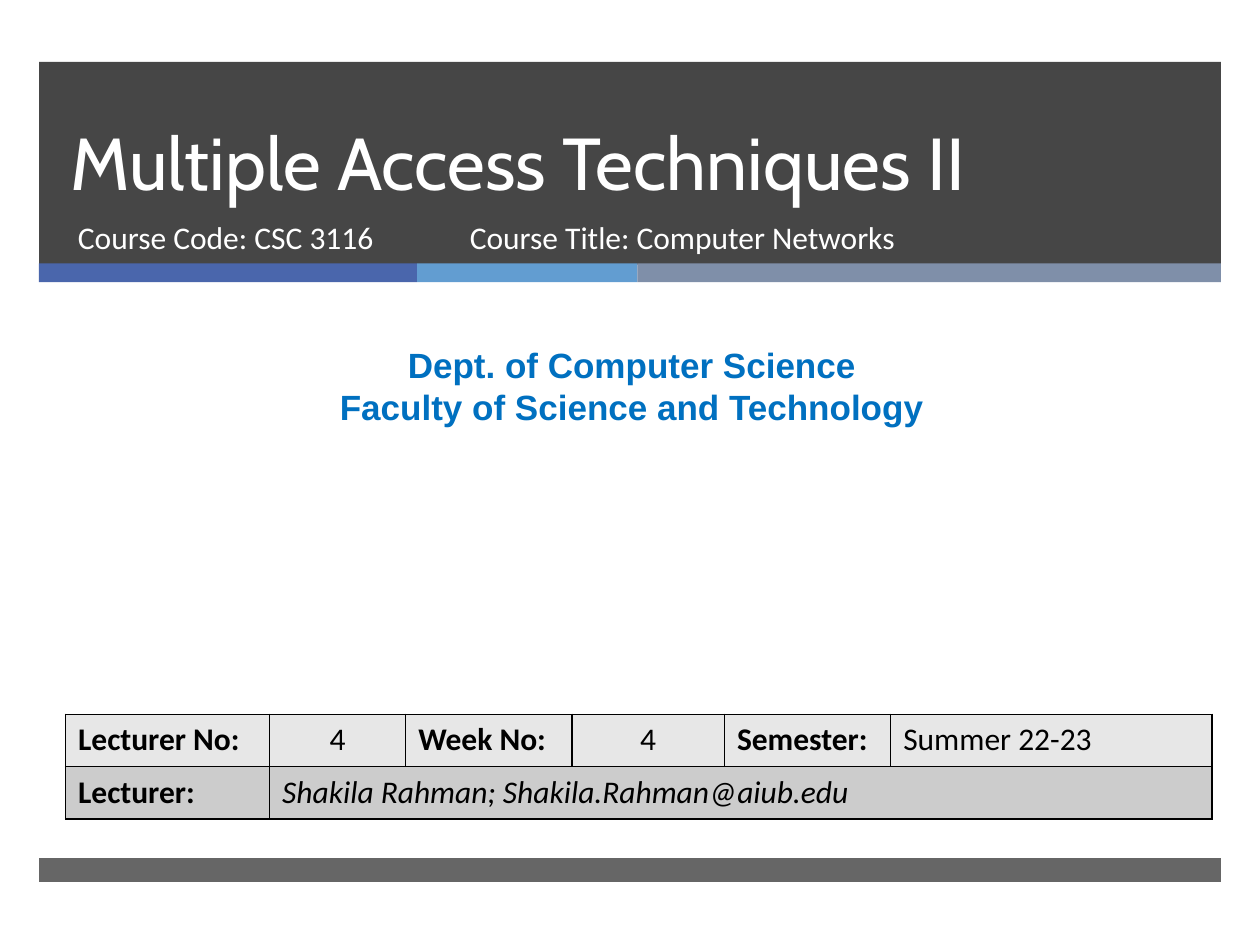
import pptx
import pptx.util
import pptx.dml.color
import pptx.enum.shapes
import pptx.enum.text
import pptx.oxml.ns
from lxml import etree

ANCHOR = pptx.enum.text.MSO_ANCHOR
CENTER = pptx.enum.text.PP_ALIGN.CENTER
LEFT = pptx.enum.text.PP_ALIGN.LEFT
TITLE_ONLY = 5


def rgb(value):
    return pptx.dml.color.RGBColor.from_string(value)


def add_xml(parent, tag, **attrs):
    return etree.SubElement(parent, pptx.oxml.ns.qn(tag), attrs)


def write(tf, text, font="Calibri", size=18, color="000000", bold=False,
          italic=False, align=LEFT, spacing=None):
    """Put each line of text into its own paragraph."""
    for i, line in enumerate(text.split("\n")):
        p = tf.add_paragraph() if i else tf.paragraphs[0]
        p.alignment = align
        p.space_before = pptx.util.Pt(0)
        if spacing:
            p.line_spacing = pptx.util.Pt(spacing)
        r = p.add_run()
        r.text = line
        r.font.name, r.font.size = font, pptx.util.Pt(size)
        r.font.bold, r.font.italic = bold, italic
        r.font.color.rgb = rgb(color)


class Deck:
    """Style and current slide; lengths are cells of a 100 by 75 grid."""
    COLUMNS, ROWS = 100, 75
    DARK, WHITE, ACCENT = "262626", "FFFFFF", "0070C0"
    STRIPES = ("4A66AC", "629DD1", "7F8FA9")
    ROW_FILLS = ("E7E7E7", "CCCCCC")

    def __init__(self):
        self.prs = pptx.Presentation()
        self.prs.slide_width = pptx.util.Inches(10)
        self.prs.slide_height = pptx.util.Inches(7.5)
        self.s = self.prs.slides.add_slide(self.prs.slide_layouts[TITLE_ONLY])

    def x(self, columns):
        return round(self.prs.slide_width * columns / self.COLUMNS)

    def y(self, rows):
        return round(self.prs.slide_height * rows / self.ROWS)

    def box(self, left, top, width, height):
        return self.x(left), self.y(top), self.x(width), self.y(height)

    def bar(self, *place, color, opacity=100):
        sp = self.s.shapes.add_shape(
            pptx.enum.shapes.MSO_SHAPE.RECTANGLE, *self.box(*place))
        sp.shadow.inherit = False
        sp.fill.solid()
        sp.fill.fore_color.rgb = rgb(color)
        sp.line.fill.background()
        if opacity < 100:
            clr = sp.element.spPr.find(".//" + pptx.oxml.ns.qn("a:srgbClr"))
            add_xml(clr, "a:alpha", val=str(opacity * 1000))

    def title(self, *place, text, **style):
        sp = self.s.shapes.title
        sp.left, sp.top, sp.width, sp.height = self.box(*place)
        sp.text_frame.vertical_anchor = ANCHOR.BOTTOM
        sp.text_frame.auto_size = pptx.enum.text.MSO_AUTO_SIZE.NONE
        write(sp.text_frame, text, **style)
        sp.element.getparent().append(sp.element)  # in front of the band

    def text(self, *place, text, **style):
        tf = self.s.shapes.add_textbox(*self.box(*place)).text_frame
        tf.word_wrap = True
        write(tf, text, **style)

    def border(self, cell):
        tcPr = cell._tc.get_or_add_tcPr()
        for i, side in enumerate(("a:lnL", "a:lnR", "a:lnT", "a:lnB")):
            ln = add_xml(tcPr, side, w=str(pptx.util.Pt(1)))
            add_xml(add_xml(ln, "a:solidFill"), "a:srgbClr", val="000000")
            tcPr.remove(ln)
            tcPr.insert(i, ln)  # borders precede the fill

    def table(self, left, top, widths, row_height, rows):
        place = self.box(left, top, sum(widths), row_height * len(rows))
        tbl = self.s.shapes.add_table(len(rows), len(widths), *place).table
        for column, width in zip(tbl.columns, widths):
            column.width = self.x(width)
        for i, row in enumerate(rows):
            tbl.rows[i].height = self.y(row_height)
            for j in range(len(widths)):
                cell = tbl.cell(i, j)
                cell.fill.solid()
                cell.fill.fore_color.rgb = rgb(self.ROW_FILLS[i])
                self.border(cell)
                if j < len(row):
                    text, style = row[j]
                    write(cell.text_frame, text, **style)
            if len(row) < len(widths):  # last entry fills the rest of the row
                tbl.cell(i, len(row) - 1).merge(tbl.cell(i, len(widths) - 1))


def main():
    d = Deck()
    left, width = 3.1, 93.8

    # Header band, coloured stripes and footer
    d.bar(left, 4.9, width, 16.1, color=d.DARK, opacity=85)
    x = left
    for color, stripe in zip(d.STRIPES, (30, 17.5, 46.3)):
        d.bar(x, 20.9, stripe, 1.5, color=color)
        x += stripe
    d.bar(left, 68.1, width, 1.9, color=d.DARK, opacity=70)

    # Title and course line
    d.title(4.6, 4.9, 85.4, 11.9, text="Multiple Access Techniques II",
            font="Cabin", size=42, color=d.WHITE, spacing=46)
    d.text(5.2, 16.8, 30.5, 5.3, text="Course Code: CSC 3116", color=d.WHITE)
    d.text(36.3, 16.8, 45.5, 5.3, text="Course Title: Computer Networks",
           color=d.WHITE)

    # Department
    d.text(0.8, 26.8, 98.7, 7.7,
           text="Dept. of Computer Science\nFaculty of Science and Technology",
           font="Arial", size=20, color=d.ACCENT, bold=True, align=CENTER)

    # Lecture details
    label, number = {"bold": True}, {"align": CENTER}
    d.table(5.2, 56.7, (16.2, 10.8, 13.2, 12.1, 13.2, 25.5), 4.15, [
        [("Lecturer No:", label), ("4", number), ("Week No:", label),
         ("4", number), ("Semester:", label), ("Summer 22-23", {})],
        [("Lecturer:", label),
         ("Shakila Rahman; Shakila.Rahman@aiub.edu", {"italic": True})],
    ])

    d.prs.save("out.pptx")


if __name__ == "__main__":
    main()
